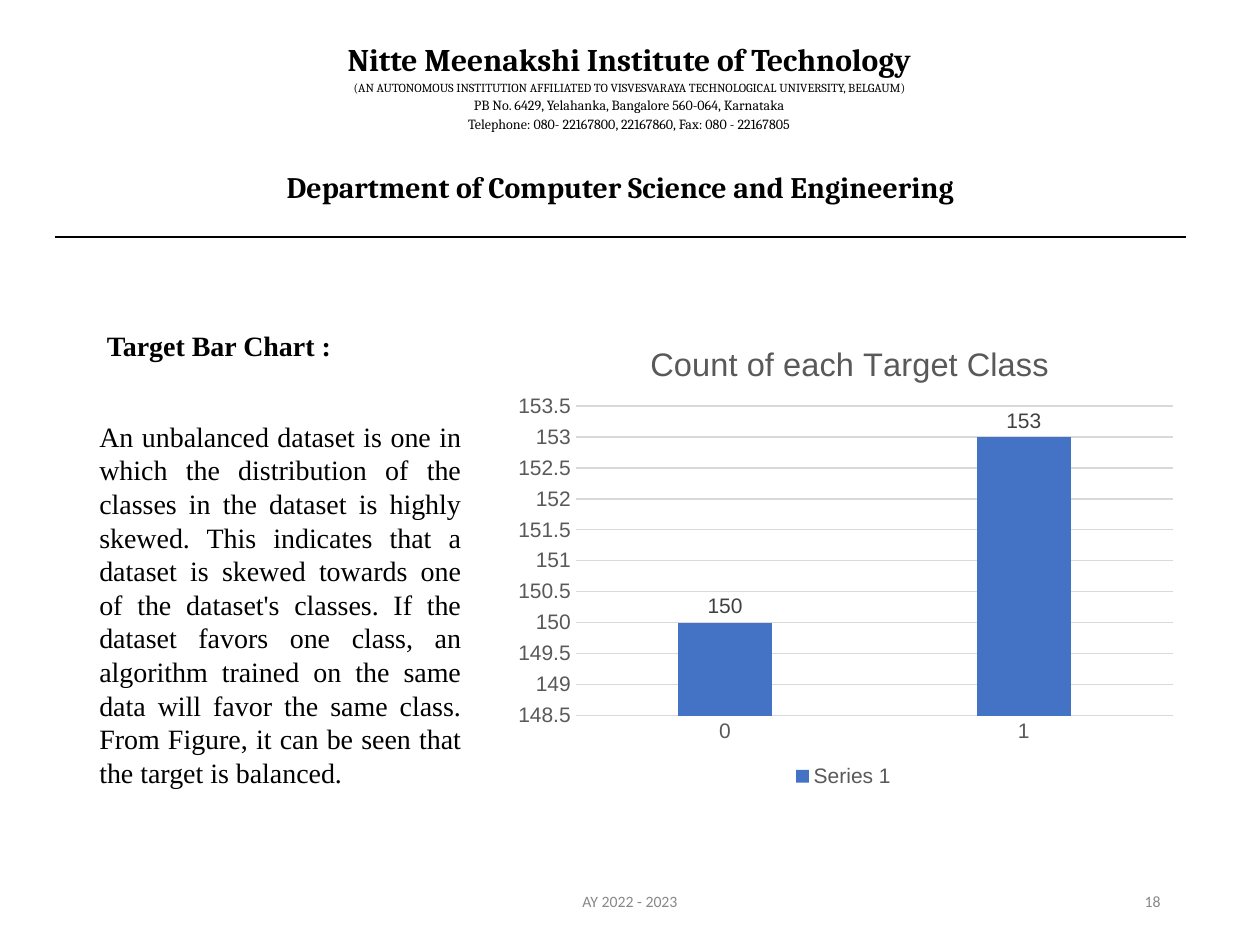
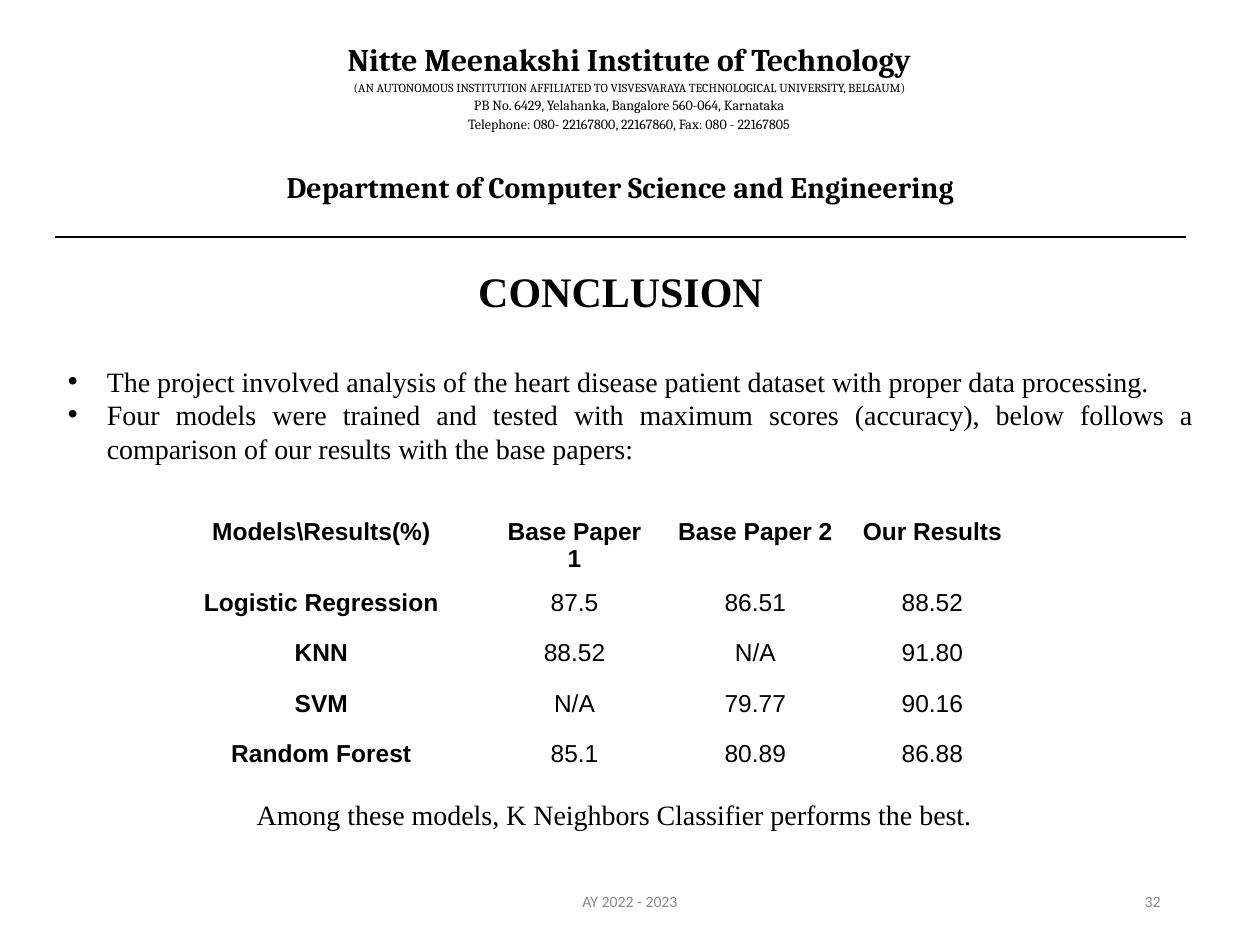
"""Build two project review slides: the target class chart and the conclusion."""
from dataclasses import dataclass

from lxml import etree
from pptx import Presentation
from pptx import util as u
from pptx.chart import data as chart_data
from pptx.dml.color import RGBColor
from pptx.enum import chart as ch, text
from pptx.oxml import parse_xml
from pptx.oxml.ns import nsdecls, qn

ALIGN = text.PP_ALIGN


@dataclass(frozen=True)
class Theme:
    """Colours, fonts and type sizes of the deck."""
    ink: str = "000000"
    footer: str = "888888"
    chart_ink: str = "595959"
    label: str = "404040"
    grid: str = "D9D9D9"
    bar: str = "4472C4"
    body_font: str = "Times New Roman"
    head_font: str = "Cambria"
    foot_font: str = "Calibri"
    data_font: str = "Arial"
    institute_size: float = 18
    dept_size: float = 17
    title_size: float = 24
    body_size: float = 16
    cell_size: float = 14
    chart_title_size: float = 18.6
    chart_size: float = 12
    foot_size: float = 9


T = Theme()
LETTERHEAD = [
    ("Nitte Meenakshi Institute of Technology", T.institute_size, True),
    ("(AN AUTONOMOUS INSTITUTION AFFILIATED TO VISVESVARAYA TECHNOLOGICAL UNIVERSITY, BELGAUM)", 7, False),
    ("PB No. 6429, Yelahanka, Bangalore 560-064, Karnataka", 8, False),
    ("Telephone: 080- 22167800, 22167860, Fax: 080 - 22167805", 8, False),
]
UNBALANCED = (
    "An unbalanced dataset is one in which the distribution of the classes in the dataset "
    "is highly skewed. This indicates that a dataset is skewed towards one of the dataset's "
    "classes. If the dataset favors one class, an algorithm trained on the same data will "
    "favor the same class. From Figure, it can be seen that the target is balanced."
)
FINDINGS = [
    "The project involved analysis of the heart disease patient dataset with proper data processing.",
    "Four models were trained and tested with maximum scores (accuracy), below follows a "
    "comparison of our results with the base papers:",
]
RESULTS = [
    ["Models\\Results(%)", "Base Paper 1", "Base Paper 2", "Our Results"],
    ["Logistic Regression", "87.5", "86.51", "88.52"],
    ["KNN", "88.52", "N/A", "91.80"],
    ["SVM", "N/A", "79.77", "90.16"],
    ["Random Forest", "85.1", "80.89", "86.88"],
]


def style_font(font, size, name, color=T.ink, bold=False):
    """Set the size, face, colour and weight of a font."""
    font.size, font.name, font.bold = u.Pt(size), name, bold
    font.color.rgb = RGBColor.from_string(color)


def write(tf, content, first=True, size=T.body_size, name=T.body_font, color=T.ink,
          bold=False, align=ALIGN.LEFT, spacing=None, bullet=False):
    """Write one formatted paragraph into a text frame."""
    p = tf.paragraphs[0] if first else tf.add_paragraph()
    p.alignment = align
    if spacing:
        p.line_spacing = spacing
    if bullet:
        add_bullet(p)
    r = p.add_run()
    r.text = content
    style_font(r.font, size, name, color, bold)


def add_bullet(p):
    """Give a paragraph a round bullet with a hanging indent."""
    pPr = p._p.get_or_add_pPr()
    pPr.set("marL", str(u.Inches(0.31)))
    pPr.set("indent", str(u.Inches(-0.31)))
    etree.SubElement(pPr, qn("a:buFont"), typeface=T.data_font)
    etree.SubElement(pPr, qn("a:buChar"), char="•")


def add_text(s, box, lines, anchor=text.MSO_ANCHOR.TOP, **fmt):
    """Add a wrapping text box with one paragraph per line."""
    tf = s.shapes.add_textbox(*map(u.Inches, box)).text_frame
    tf.word_wrap = True
    tf.vertical_anchor = anchor
    for i, line in enumerate(lines):
        write(tf, line, first=i == 0, **fmt)


def add_plain_table(s, left, top, widths, heights):
    """Add an unbanded table without fills."""
    size = map(u.Inches, (left, top, sum(widths), sum(heights)))
    table = s.shapes.add_table(len(heights), len(widths), *size).table
    table.first_row = table.horz_banding = False
    for column, width in zip(table.columns, widths):
        column.width = u.Inches(width)
    for row, height in zip(table.rows, heights):
        row.height = u.Inches(height)
    for cell in table.iter_cells():
        cell.fill.background()
    return table


def add_bottom_border(cell):
    """Draw a one point line under a cell."""
    cell._tc.get_or_add_tcPr().insert(0, parse_xml(
        f'<a:lnB {nsdecls("a")} w="{u.Pt(1)}"><a:solidFill>'
        f'<a:srgbClr val="{T.ink}"/></a:solidFill></a:lnB>'))


def add_letterhead(s):
    """Add the institute letterhead with its rule."""
    table = add_plain_table(s, 0.44, 0.3, (1.25, 6.61, 1.11), (1.02, 0.56))
    institute, department = table.cell(0, 1), table.cell(1, 0)
    for column in range(3):
        add_bottom_border(table.cell(1, column))
    department.merge(table.cell(1, 2))
    for cell in (institute, department):
        cell.margin_left = cell.margin_right = u.Inches(0.07)
        cell.margin_top = cell.margin_bottom = 0
    fmt = dict(name=T.head_font, align=ALIGN.CENTER, spacing=1.15)
    for i, (line, size, bold) in enumerate(LETTERHEAD):
        write(institute.text_frame, line, first=i == 0, size=size, bold=bold, **fmt)
    write(department.text_frame, "Department of Computer Science and Engineering",
          size=T.dept_size, bold=True, **fmt)


def add_footer(s, number):
    """Add the academic year and the slide number."""
    fmt = dict(anchor=text.MSO_ANCHOR.MIDDLE, size=T.foot_size, name=T.foot_font, color=T.footer)
    add_text(s, (3.31, 6.95, 3.38, 0.4), ["AY 2022 - 2023"], align=ALIGN.CENTER, **fmt)
    add_text(s, (7.06, 6.95, 2.25, 0.4), [str(number)], align=ALIGN.RIGHT, **fmt)


def add_page(prs, number):
    """Add a blank slide with the shared letterhead and footer."""
    s = prs.slides.add_slide(prs.slide_layouts[6])
    add_letterhead(s)
    add_footer(s, number)
    return s


def place(part, index, target="", **fractions):
    """Place a chart part by fractions of the chart area."""
    for old in part.findall(qn("c:layout")):
        part.remove(old)
    inner = f'<c:layoutTarget val="{target}"/>' if target else ""
    modes = '<c:xMode val="edge"/><c:yMode val="edge"/>'
    values = "".join(f'<c:{key} val="{value}"/>' for key, value in fractions.items())
    part.insert(index, parse_xml(
        f'<c:layout {nsdecls("c")}><c:manualLayout>{inner}{modes}{values}'
        '</c:manualLayout></c:layout>'))


def style_line(line):
    """Make a line thin and light grey."""
    line.color.rgb = RGBColor.from_string(T.grid)
    line.width = u.Pt(0.75)


def add_class_chart(s, box):
    """Add the column chart that counts each target class."""
    data = chart_data.CategoryChartData()
    data.categories = ["0", "1"]
    data.add_series("Series 1", [150, 153])
    chart = s.shapes.add_chart(ch.XL_CHART_TYPE.COLUMN_CLUSTERED,
                               *map(u.Inches, box), data).chart
    style_font(chart.font, T.chart_size, T.data_font, T.chart_ink)

    tf = chart.chart_title.text_frame
    write(tf, "Count of each Target Class", size=T.chart_title_size,
          name=T.data_font, color=T.chart_ink, align=ALIGN.CENTER)
    chart.chart_title.include_in_layout = False
    place(chart.element.xpath("c:chart/c:title")[0], 1, x=0.21, y=0.05)
    place(chart.element.xpath("c:chart/c:plotArea")[0], 0, "inner",
          x=0.11, y=0.195, w=0.87, h=0.645)

    chart.has_legend = True
    chart.legend.position = ch.XL_LEGEND_POSITION.BOTTOM
    chart.legend.include_in_layout = False

    for axis in (chart.category_axis, chart.value_axis):
        axis.major_tick_mark = axis.minor_tick_mark = ch.XL_TICK_MARK.NONE
        style_font(axis.tick_labels.font, T.chart_size, T.data_font, T.chart_ink)
    style_line(chart.category_axis.format.line)
    values = chart.value_axis
    values.minimum_scale, values.maximum_scale, values.major_unit = 148.5, 153.5, 0.5
    values.format.line.fill.background()
    style_line(values.major_gridlines.format.line)

    plot = chart.plots[0]
    plot.vary_by_categories = False
    plot.gap_width, plot.overlap = 219, -27
    fill = plot.series[0].format.fill
    fill.solid()
    fill.fore_color.rgb = RGBColor.from_string(T.bar)
    labels = plot.series[0].data_labels
    labels.show_value = True
    labels.position = ch.XL_LABEL_POSITION.OUTSIDE_END
    style_font(labels.font, T.chart_size, T.data_font, T.label)


def add_results_table(s):
    """Add the accuracy comparison with bold headings."""
    table = add_plain_table(s, 1.25, 4.06, (2.6, 1.42, 1.45, 1.36), [0.4] * len(RESULTS))
    for i, row in enumerate(RESULTS):
        for j, value in enumerate(row):
            write(table.cell(i, j).text_frame, value, size=T.cell_size, name=T.data_font,
                  bold=i == 0 or j == 0, align=ALIGN.CENTER)


def build_target_chart(prs):
    """Build the slide on the balance of the target classes."""
    s = add_page(prs, 18)
    add_text(s, (0.75, 2.56, 5, 0.37), ["Target Bar Chart :"], bold=True)
    add_text(s, (0.69, 3.28, 3.07, 3.06), [UNBALANCED], align=ALIGN.JUSTIFY)
    add_class_chart(s, (3.97, 2.48, 5.45, 3.81))


def build_conclusion(prs):
    """Build the conclusion slide."""
    s = add_page(prs, 32)
    add_text(s, (3.14, 2.06, 3.57, 0.5), ["CONCLUSION"], size=T.title_size,
             bold=True, align=ALIGN.CENTER)
    add_text(s, (0.44, 6.28, 8.87, 0.37),
             ["Among these models, K Neighbors Classifier performs the best."],
             align=ALIGN.CENTER)
    add_text(s, (0.44, 2.84, 9.13, 0.91), FINDINGS, align=ALIGN.JUSTIFY, bullet=True)
    add_results_table(s)


def main():
    """Build and save the deck."""
    prs = Presentation()
    prs.slide_width, prs.slide_height = u.Inches(10), u.Inches(7.5)
    build_target_chart(prs)
    build_conclusion(prs)
    prs.save("out.pptx")


if __name__ == "__main__":
    main()
